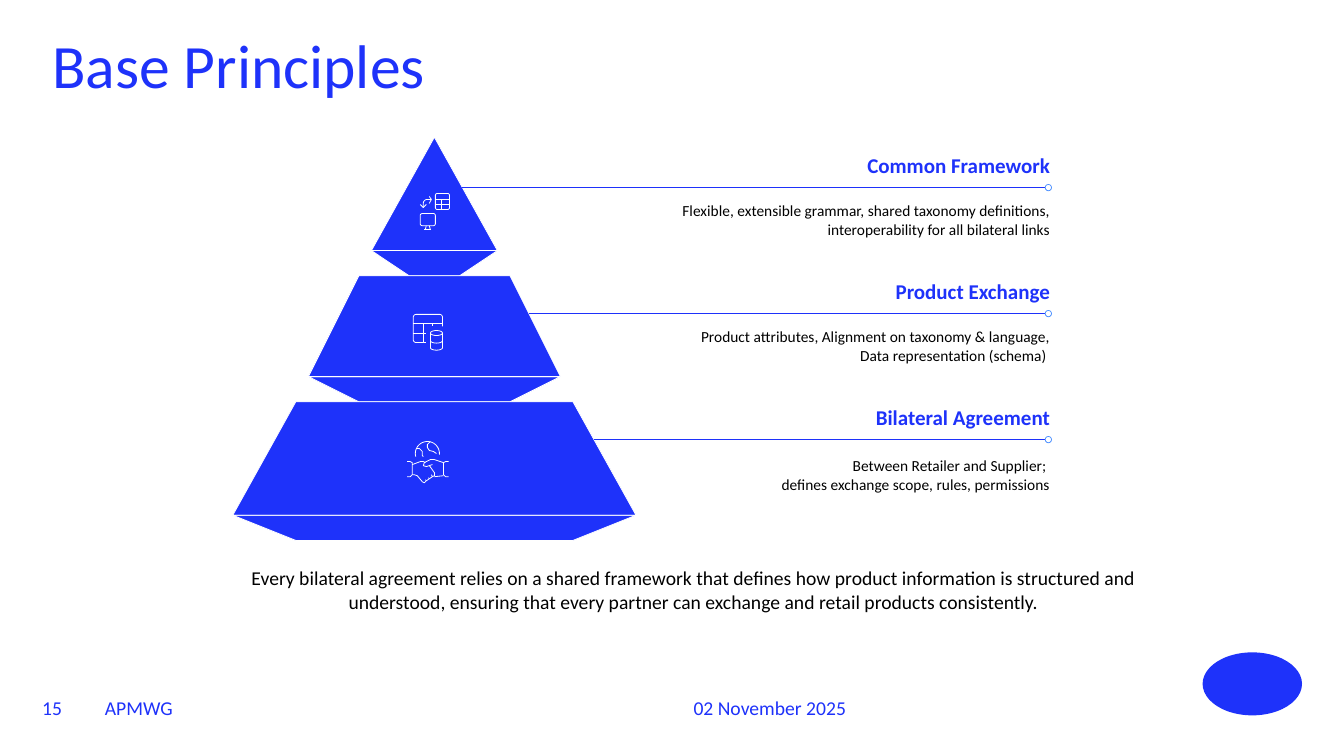
from math import cos, radians, sin

from lxml.etree import SubElement
from pptx import Presentation
from pptx.dml.color import RGBColor
from pptx.enum.shapes import MSO_CONNECTOR, MSO_SHAPE
from pptx.enum.text import MSO_ANCHOR, PP_ALIGN
from pptx.oxml.ns import qn
from pptx.util import Pt

BLUE, SKY, WHITE, BLACK = "1E32FA", "4F92FF", "FFFFFF", "000000"
THIN = 0.56


def arc(x, y, rx, ry, start, end):
    """Points along part of an ellipse; angles in degrees, clockwise."""
    turns = [radians(start + (end - start) * i / 16) for i in range(17)]
    return [(x + rx * cos(t), y + ry * sin(t)) for t in turns]


def box(x, y, w, h):
    """Outline of a rectangle with rounded corners."""
    r = 2
    spots = [(x + w - r, y + r, 270), (x + w - r, y + h - r, 0),
             (x + r, y + h - r, 90), (x + r, y + r, 180)]
    dots = [dot for cx, cy, a in spots for dot in arc(cx, cy, r, r, a, a + 90)]
    return dots + dots[:1]


# Icon strokes are in hundredths of an inch from the icon's corner.
UNIT = 0.72
DEVICES = [
    box(15, 0, 14, 16), [(15, 6), (29, 6)], [(15, 11), (29, 11)],
    [(21, 6), (21, 16)], box(0, 20, 15, 12), [(6, 32), (5, 36)],
    [(9, 32), (10, 36)], [(4, 36), (11, 36)],
    [(11, 6), *arc(7, 10, 4, 4, 270, 180), (3, 14)],
    [(0, 11), (3, 14), (6, 11)], [(9, 3), (11, 6), (9, 10)],
]
TABLES = [
    [(10, 28), *arc(3, 25, 3, 3, 90, 180), *arc(3, 3, 3, 3, 180, 270),
     *arc(26, 3, 3, 3, 270, 360), (29, 12)],
    [(0, 9), (29, 9)], [(10, 9), (10, 28), (13, 28)], [(0, 19), (13, 19)],
    [(19, 9), (19, 12)], arc(23, 18.5, 6, 2.5, 0, 360),
    [(29, 18.5), *arc(23, 26, 6, 2.5, 0, 180), (17, 18.5)],
    [(29, 26), *arc(23, 33, 6, 2.5, 0, 180), (17, 26)],
]
HANDSHAKE = [
    arc(20, 13, 12, 12, 165, 365),
    [(16, 16), (15, 15), (15, 11), (12, 8), (9, 8)],
    [(29, 13), (26, 11), (22, 10), (20, 7), (20, 4), (23, 1)],
    [(36, 35), (27, 36)],
    [(25, 24), (19, 26), (16, 25), (17, 22), (23, 19), (27, 19), (36, 22)],
    [(18, 22), (16, 21), (13, 21), (5, 24)],
    [(0, 21), (3, 21), (5, 22), (5, 34), (3, 36), (0, 36)],
    [(41, 36), (38, 36), (36, 34), (36, 22), (38, 21), (41, 21)],
    [(22, 25), (27, 32), (27, 35), (25, 36), (22, 38), (19, 40), (17, 42),
     (15, 41), (10, 35), (7, 34), (5, 34)],
    [(18, 39), (19, 40)], [(21, 37), (22, 38)], [(24, 34), (25, 36)],
]

# top, rim, foot; half widths at each; heading; text, its width and gap; icon
TIERS = [
    ((98, 179, 197), (0, 45, 18), "Common Framework",
     "Flexible, extensible grammar, shared taxonomy definitions, "
     "interoperability for all bilateral links", 270, 10,
     DEVICES, (300.2, 138.2)),
    ((197, 269, 287), (54, 90, 54), "Product Exchange",
     "Product attributes, Alignment on taxonomy & language, "
     "Data representation (schema) ", 262, 10,
     TABLES, (295.2, 224.6)),
    ((287, 368, 386), (99, 144, 99), "Bilateral Agreement",
     "Between Retailer and Supplier; \v"
     "defines exchange scope, rules, permissions", 236, 12,
     HANDSHAKE, (290.9, 314.6)),
]
MID, RIGHT, LINE, PITCH = 310.3, 750, 134, 90
DOT, DOT_LEFT = 4.5, 746.6

TITLE = "Base Principles"
SUMMARY = ("Every bilateral agreement relies on a shared framework that "
           "defines how product information is structured and understood, "
           "ensuring that every partner can exchange and retail products "
           "consistently.")
FOOTER = [("15", 30.2, 36), ("APMWG", 74.9, 390),
          ("02 November 2025", 495.4, 216)]

deck = Presentation()
deck.slide_width, deck.slide_height = Pt(960), Pt(540)
slide = deck.slides.add_slide(deck.slide_layouts[6])
shapes = slide.shapes


def tint(color):
    return RGBColor.from_string(color)


def paint(shape, fill=None, line=None):
    shape.shadow.inherit = False
    if fill:
        shape.fill.solid()
        shape.fill.fore_color.rgb = tint(fill)
    else:
        shape.fill.background()
    if line:
        shape.line.color.rgb = tint(line)
        shape.line.width = Pt(THIN)
    else:
        shape.line.fill.background()


def draw(strokes, fill=None):
    """One freeform from several strokes, given in points."""
    pen = None
    for first, *rest in strokes:
        spot = [Pt(v) for v in first]
        if pen is None:
            pen = shapes.build_freeform(*spot)
        else:
            pen.move_to(*spot)
        pen.add_line_segments([(Pt(x), Pt(y)) for x, y in rest], close=False)
    paint(pen.convert_to_shape(), fill, WHITE)


def write(text, area, size, color=BLUE, align=PP_ALIGN.LEFT, bold=False,
          inset=(0, 0), **frame):
    body = shapes.add_textbox(*[Pt(v) for v in area]).text_frame
    side, edge = [Pt(v) for v in inset]
    style = dict(word_wrap=True, margin_left=side, margin_right=side,
                 margin_top=edge, margin_bottom=edge)
    for name, value in {**style, **frame}.items():
        setattr(body, name, value)
    body.text = text
    para = body.paragraphs[0]
    para.alignment = align
    font = para.runs[0].font
    for run in para.runs:
        font = run.font
        for name, value in dict(name="Calibri", size=Pt(size),
                                bold=bold).items():
            setattr(font, name, value)
        font.color.rgb = tint(color)
    return para


def link(x, y, end):
    line = shapes.add_connector(MSO_CONNECTOR.STRAIGHT,
                                Pt(x), Pt(y), Pt(end), Pt(y))
    line.line.color.rgb = tint(BLUE)
    line.line.width = Pt(THIN)
    SubElement(line._element.spPr, qn("a:effectLst"))


def oval(x, y, w, h, **look):
    paint(shapes.add_shape(MSO_SHAPE.OVAL, Pt(x), Pt(y), Pt(w), Pt(h)), **look)


write(TITLE, (37.4, 25.2, 822, 48), 44).line_spacing = 0.9

for row, (ys, halves, head, text, wide, gap, icon, (ix, iy)) in enumerate(TIERS):
    (top, rim, foot), (a, b, c) = ys, halves
    face = [(MID - b, rim), (MID - a, top), (MID + a, top),
            (MID + b, rim), (MID - b, rim)]
    base = [(MID - b, rim), (MID + b, rim), (MID + c, foot),
            (MID - c, foot), (MID - b, rim)]
    draw([face, base], BLUE)
    draw([[(ix + x * UNIT, iy + y * UNIT) for x, y in s] for s in icon])

    level = LINE + PITCH * row
    start = MID + a + (b - a) * (level - top) / (rim - top)
    link(start, level, DOT_LEFT)
    oval(DOT_LEFT, level - DOT / 2, DOT, DOT, line=SKY)
    write(head, (RIGHT - 150, level - 25.3, 150, 18), 15,
          align=PP_ALIGN.RIGHT, bold=True)
    write(text, (RIGHT - wide, level + gap, wide, 27), 11, BLACK,
          PP_ALIGN.RIGHT)

write(SUMMARY, (152, 401, 687, 41), 14, BLACK, PP_ALIGN.CENTER,
      inset=(7.2, 3.6))
for text, left, wide in FOOTER:
    write(text, (left, 485.3, wide, 28.8), 14,
          vertical_anchor=MSO_ANCHOR.BOTTOM)
oval(859, 466, 71, 45, fill=BLUE)

deck.save("out.pptx")
